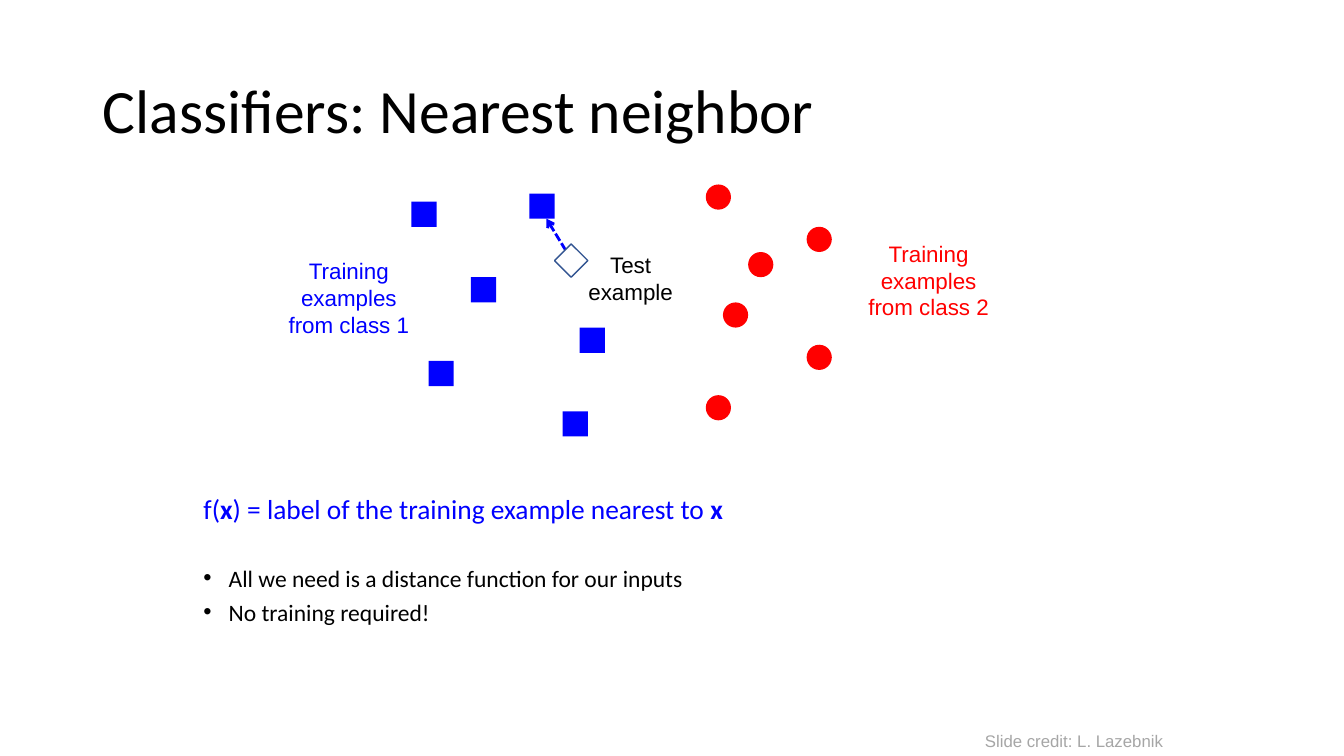
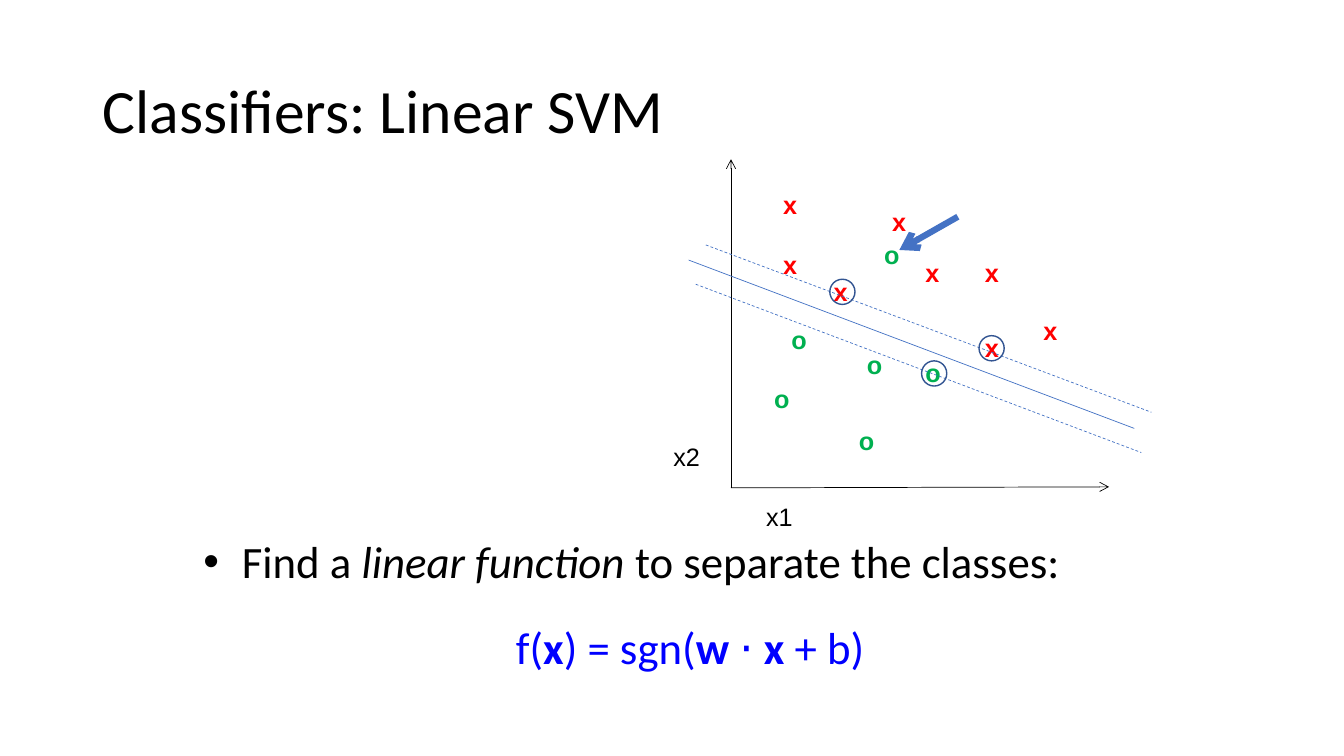
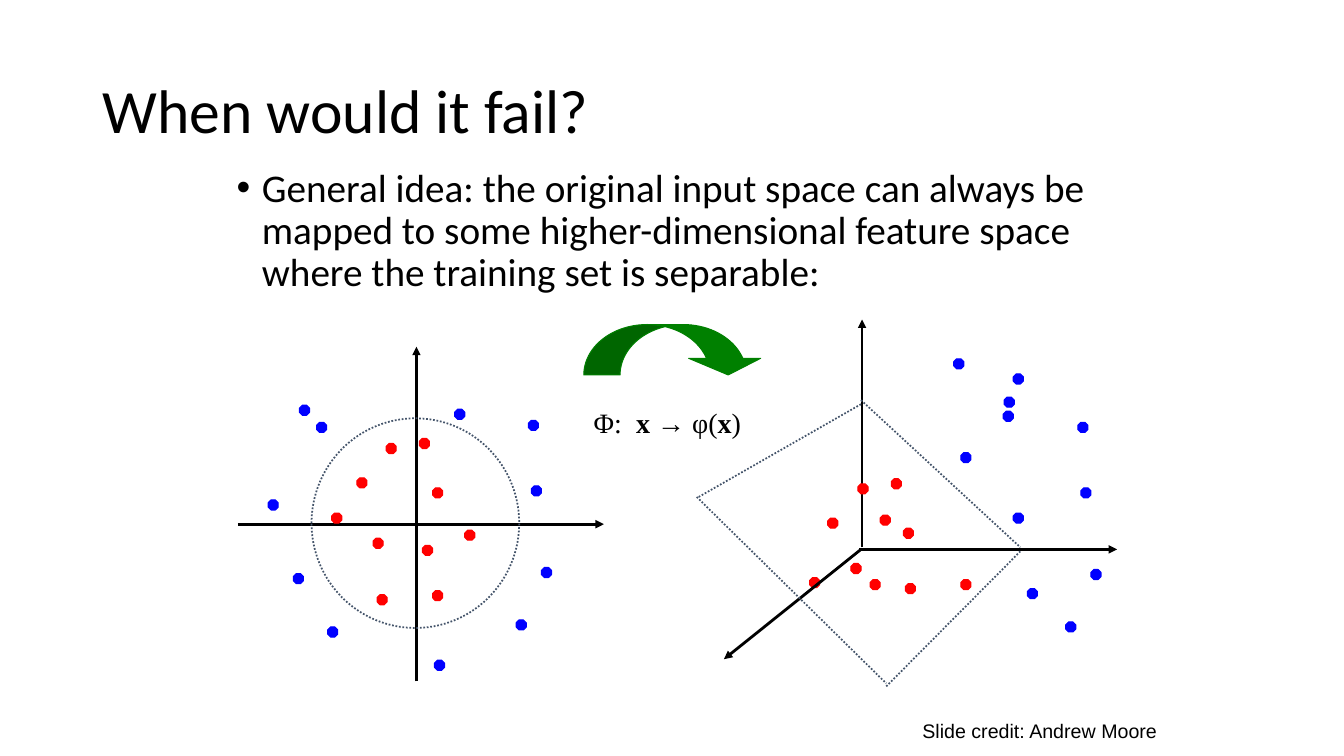
from dataclasses import dataclass, field
from typing import Any, NamedTuple

from lxml import etree
from pptx import Presentation
from pptx.dml.color import RGBColor
from pptx.enum.dml import MSO_LINE
from pptx.enum.shapes import MSO_CONNECTOR, MSO_SHAPE
from pptx.enum.text import MSO_ANCHOR, PP_ALIGN
from pptx.oxml.ns import qn
from pptx.util import Inches, Pt

STRAIGHT = MSO_CONNECTOR.STRAIGHT
SQUARE = MSO_SHAPE.RECTANGLE
ELLIPSE = MSO_SHAPE.OVAL
DIAMOND = MSO_SHAPE.DIAMOND
OCTAGON = MSO_SHAPE.OCTAGON
CURVED_ARROW = MSO_SHAPE.CURVED_DOWN_ARROW
DASH = MSO_LINE.DASH
SHORT_DASH = MSO_LINE.SQUARE_DOT
DOTTED = MSO_LINE.ROUND_DOT
LEFT, CENTER = PP_ALIGN.LEFT, PP_ALIGN.CENTER
TOP, MIDDLE = MSO_ANCHOR.TOP, MSO_ANCHOR.MIDDLE

BLACK, WHITE, GRAY = "000000", "FFFFFF", "A6A6A6"
BLUE, RED, GREEN, DARK_GREEN = "0000FF", "FF0000", "00B050", "008000"
ACCENT, OUTLINE, SLATE = "4472C4", "325491", "44546A"
BODY_FONT, LABEL_FONT, MATH_FONT = "Calibri", "Arial", "Times New Roman"

Point = tuple[float, float]


class Area(NamedTuple):
    left: float
    top: float
    width: float
    height: float


class Span(NamedTuple):
    text: str
    format: dict[str, Any] = {}


@dataclass
class Para:
    spans: list[Span]
    size: float
    color: str = BLACK
    font: str = BODY_FONT
    format: dict[str, Any] = field(default_factory=dict)
    margin: float = 0
    bullet: bool = False
    tab: float = 0


@dataclass
class Stroke:
    color: str
    width: float
    dash: Any = None
    arrow: str = ""


@dataclass
class Look:
    fill: str = ""
    stroke: Stroke | None = None
    adjustments: tuple[float, ...] = ()


class Cluster(NamedTuple):
    """Equal markers given by their top-left corners."""
    kind: Any
    size: float
    look: Look
    corners: list[Point]


class Segment(NamedTuple):
    start: Point
    end: Point
    stroke: Stroke


BOLD = {"bold": True}
ITALIC = {"italic": True}
TITLE_AREA = Area(0.92, 0.4, 11.5, 1.45)
DIVIDER = Stroke(SLATE, 1.25, DOTTED)
AXIS = Stroke(BLACK, 2, arrow="triangle")
THIN_AXIS = Stroke(BLACK, 0.5, arrow="arrow")
RING = Look(stroke=Stroke(OUTLINE, 1))


def rgb(color: str) -> RGBColor:
    return RGBColor.from_string(color)


def apply(target: Any, values: dict[str, Any]) -> None:
    for name, value in values.items():
        setattr(target, name, value)


def child(parent: Any, tag: str, **attributes: str) -> Any:
    return etree.SubElement(parent, qn(tag), attributes)


def draw_stroke(line: Any, stroke: Stroke) -> None:
    line.color.rgb = rgb(stroke.color)
    line.width = Pt(stroke.width)
    if stroke.dash:
        line.dash_style = stroke.dash


def add_segment(page: Any, segment: Segment) -> None:
    ends = [Inches(value) for value in segment.start + segment.end]
    connector = page.shapes.add_connector(STRAIGHT, *ends)
    draw_stroke(connector.line, segment.stroke)
    properties = connector._element.spPr
    if segment.stroke.arrow:
        child(properties.find(qn("a:ln")), "a:tailEnd", type=segment.stroke.arrow)
    child(properties, "a:effectLst")


def add_figure(page: Any, kind: Any, area: Area, look: Look) -> None:
    shape = page.shapes.add_shape(kind, *map(Inches, area))
    shape.shadow.inherit = False
    for index, value in enumerate(look.adjustments):
        shape.adjustments[index] = value
    if look.fill:
        shape.fill.solid()
        shape.fill.fore_color.rgb = rgb(look.fill)
    else:
        shape.fill.background()
    if look.stroke:
        draw_stroke(shape.line, look.stroke)
    else:
        shape.line.fill.background()


def add_cluster(page: Any, cluster: Cluster) -> None:
    for corner in cluster.corners:
        area = Area(*corner, cluster.size, cluster.size)
        add_figure(page, cluster.kind, area, cluster.look)


def write_para(paragraph: Any, para: Para) -> None:
    properties = paragraph._p.get_or_add_pPr()
    if para.margin:
        properties.set("marL", str(Inches(para.margin)))
    if para.bullet:
        properties.set("indent", str(-Inches(para.margin)))
        child(properties, "a:buFont", typeface=LABEL_FONT)
        child(properties, "a:buChar", char="•")
    if para.tab:
        tabs = child(properties, "a:tabLst")
        child(tabs, "a:tab", pos=str(Inches(para.tab)), algn="l")
    apply(paragraph, {"alignment": LEFT} | para.format)
    for span in para.spans:
        run = paragraph.add_run()
        run.text = span.text
        apply(run.font, {"name": para.font, "size": Pt(para.size)} | span.format)
        run.font.color.rgb = rgb(para.color)


def write_frame(frame: Any, paras: list[Para], wrap: bool = True, anchor: Any = TOP) -> None:
    apply(frame, {"word_wrap": wrap, "vertical_anchor": anchor})
    for index, para in enumerate(paras):
        write_para(frame.add_paragraph() if index else frame.paragraphs[0], para)


def add_text(page: Any, area: Area, paras: list[Para], wrap: bool = True) -> None:
    box = page.shapes.add_textbox(*map(Inches, area))
    write_frame(box.text_frame, paras, wrap)


def add_label(page: Any, area: Area, text: str, size: float, color: str = BLACK,
              bold: bool = False) -> None:
    """Add one unwrapped line."""
    para = Para([Span(text, {"bold": bold})], size, color, LABEL_FONT)
    add_text(page, area, [para], wrap=False)


def add_page(deck: Any, title: str) -> Any:
    page = deck.slides.add_slide(deck.slide_layouts[5])
    holder = page.shapes.title
    names = ("left", "top", "width", "height")
    apply(holder, dict(zip(names, map(Inches, TITLE_AREA))))
    para = Para([Span(title)], 44, format={"line_spacing": 0.9})
    write_frame(holder.text_frame, [para], anchor=MIDDLE)
    return page


def build_nearest_neighbor(deck: Any) -> None:
    page = add_page(deck, "Classifiers: Nearest neighbor")
    tight = {"line_spacing": 0.7}
    add_text(page, Area(1.92, 4.92, 9.5, 1.45), [
        Para([Span("f("), Span("x", BOLD),
              Span(") = label of the training example nearest to "), Span("x", BOLD)],
             19.6, BLUE, format=tight),
        Para([Span("All we need is a distance function for our inputs")], 16.8,
             format=tight | {"space_before": Pt(34)}, margin=0.25, bullet=True),
        Para([Span("No training required!")], 16.8,
             format=tight | {"space_before": Pt(10)}, margin=0.25, bullet=True),
    ])
    clusters = [
        Cluster(SQUARE, 0.25, Look(BLUE), [
            (4.08, 2), (4.67, 2.75), (5.25, 1.92), (4.25, 3.58), (5.75, 3.25), (5.58, 4.08)]),
        Cluster(ELLIPSE, 0.25, Look(RED), [
            (8, 2.25), (7.17, 3), (8, 3.42), (7, 1.83), (7.42, 2.5), (7, 3.92)]),
    ]
    for cluster in clusters:
        add_cluster(page, cluster)
    captions = [
        (Area(5.67, 2.44, 1.17, 0.64), "Test example", BLACK),
        (Area(2.75, 2.5, 1.42, 0.91), "Training examples from class 1", BLUE),
        (Area(8.5, 2.33, 1.42, 0.91), "Training examples from class 2", RED),
    ]
    for area, text, color in captions:
        add_text(page, area, [Para([Span(text)], 16, color, LABEL_FONT, {"alignment": CENTER})])
    add_segment(page, Segment((5.67, 2.58), (5.42, 2.17), Stroke(BLUE, 2, SHORT_DASH, "arrow")))
    add_figure(page, DIAMOND, Area(5.5, 2.42, 0.33, 0.33), Look(WHITE, Stroke(OUTLINE, 1)))
    add_label(page, Area(9.67, 7.2, 1.98, 0.3), "Slide credit: L. Lazebnik", 12, GRAY)


def build_linear_svm(deck: Any) -> None:
    page = add_page(deck, "Classifiers: Linear SVM")
    examples = [
        ("x", RED, 0.34, [(9.08, 2.5), (9.67, 2.5), (9.67, 3.25), (10.25, 3.08),
                          (7.67, 1.83), (7.67, 2.42), (8.75, 2), (8.17, 2.69)]),
        ("o", GREEN, 0.36, [(8.67, 2.33), (9.08, 3.5), (7.58, 3.75), (7.75, 3.17),
                            (8.42, 4.17), (8.5, 3.42)]),
    ]
    for letter, color, width, corners in examples:
        for corner in corners:
            add_label(page, Area(*corner, width, 0.4), letter, 18, color, bold=True)
    for name, corner in (("x2", (6.58, 4.33)), ("x1", (7.5, 4.92))):
        add_label(page, Area(*corner, 0.47, 0.4), name, 18)
    margin = Stroke(ACCENT, 0.5, DASH)
    for segment in [
        Segment((7.25, 4.84), (7.25, 1.58), THIN_AXIS),
        Segment((7.25, 4.84), (11, 4.83), THIN_AXIS),
        Segment((6.83, 2.58), (11.25, 4.25), Stroke(ACCENT, 0.5)),
        Segment((7, 2.43), (11.42, 4.09), margin),
        Segment((6.9, 2.82), (11.32, 4.49), margin),
        Segment((9.5, 2.15), (8.92, 2.48), Stroke(ACCENT, 4.5, arrow="arrow")),
    ]:
        add_segment(page, segment)
    support_vectors = [(8.23, 2.77), (9.71, 3.33), (9.14, 3.58)]
    add_cluster(page, Cluster(ELLIPSE, 0.25, RING, support_vectors))
    add_text(page, Area(1.92, 5.25, 9.5, 1.45), [
        Para([Span("Find a "), Span("linear function ", ITALIC),
              Span("to separate the classes:")], 32, margin=0.38, bullet=True),
        Para([Span("f("), Span("x", BOLD), Span(") = sgn("), Span("w ", BOLD),
              Span("⋅ "), Span("x ", BOLD), Span("+ b)")], 32, BLUE,
             format={"alignment": CENTER, "space_before": Pt(23)}, margin=0.35),
    ])


def dots(color: str, corners: list[Point]) -> Cluster:
    return Cluster(OCTAGON, 0.1, Look(color, Stroke(color, 0.75), (0.29,)), corners)


def build_feature_space(deck: Any) -> None:
    page = add_page(deck, "When would it fail?")
    for segment in [
        Segment((4.13, 6.76), (4.13, 3.44), AXIS),
        Segment((2.36, 5.2), (5.99, 5.2), AXIS),
        Segment((8.55, 5.43), (8.55, 3.17), AXIS),
        Segment((8.52, 5.45), (11.08, 5.45), AXIS),
    ]:
        add_segment(page, segment)
    input_space = [
        dots(RED, [(4.16, 4.35), (3.54, 4.74), (3.7, 5.34), (4.29, 5.86), (3.83, 4.4),
                   (3.29, 5.09), (3.74, 5.9), (4.29, 4.84), (4.61, 5.26), (4.19, 5.41)]),
        dots(BLUE, [(5.27, 4.82), (5.12, 6.15), (2.66, 4.96), (4.31, 6.55), (5.37, 5.63),
                    (3.25, 6.22), (2.91, 5.69), (2.97, 4.02), (4.51, 4.06), (3.14, 4.19),
                    (5.24, 4.17)]),
    ]
    feature_space = [
        dots(RED, [(8.84, 4.75), (8.21, 5.14), (8.63, 5.75), (9.53, 5.75), (8.51, 4.8),
                   (8.73, 5.11), (8.98, 5.79), (8.96, 5.24), (8.44, 5.59), (8.03, 5.73)]),
        dots(BLUE, [(10.72, 4.84), (10.57, 6.17), (10.05, 3.71), (10.05, 5.09),
                    (10.82, 5.65), (9.53, 4.49), (10.19, 5.84), (9.96, 3.94),
                    (9.95, 4.08), (9.46, 3.56), (10.69, 4.19)]),
    ]
    for cluster in input_space + feature_space:
        add_cluster(page, cluster)
    add_figure(page, ELLIPSE, Area(3.09, 4.15, 2.06, 2.08), Look(stroke=DIVIDER))
    for segment in [
        Segment((8.54, 5.45), (7.18, 6.54), AXIS),
        Segment((8.54, 3.97), (10.12, 5.43), DIVIDER),
        Segment((8.79, 6.81), (10.12, 5.47), DIVIDER),
        Segment((6.93, 4.93), (8.54, 4.01), DIVIDER),
        Segment((6.91, 4.93), (8.79, 6.78), DIVIDER),
    ]:
        add_segment(page, segment)
    add_figure(page, CURVED_ARROW, Area(5.79, 3.22, 1.79, 0.5),
               Look(DARK_GREEN, Stroke(DARK_GREEN, 0.75), (0.72, 1.43, 0.33)))
    add_text(page, Area(5.79, 3.97, 2.08, 0.43), [
        Para([Span("Φ:\t"), Span("x → ", BOLD), Span("φ("), Span("x", BOLD), Span(")")],
             20, font=MATH_FONT, tab=0.42)])
    add_text(page, Area(2.25, 1.62, 8.83, 1.4), [
        Para([Span("General idea: the original input space can always be mapped to some "
                   "higher-dimensional feature space where the training set is separable:")],
             28, format={"line_spacing": 0.9}, margin=0.25, bullet=True)])
    add_label(page, Area(9.05, 7.08, 2.53, 0.33), "Slide credit: Andrew Moore", 14)


def main() -> None:
    deck = Presentation()
    apply(deck, {"slide_width": Inches(13.33), "slide_height": Inches(7.5)})
    build_nearest_neighbor(deck)
    build_linear_svm(deck)
    build_feature_space(deck)
    deck.save("out.pptx")


if __name__ == "__main__":
    main()
